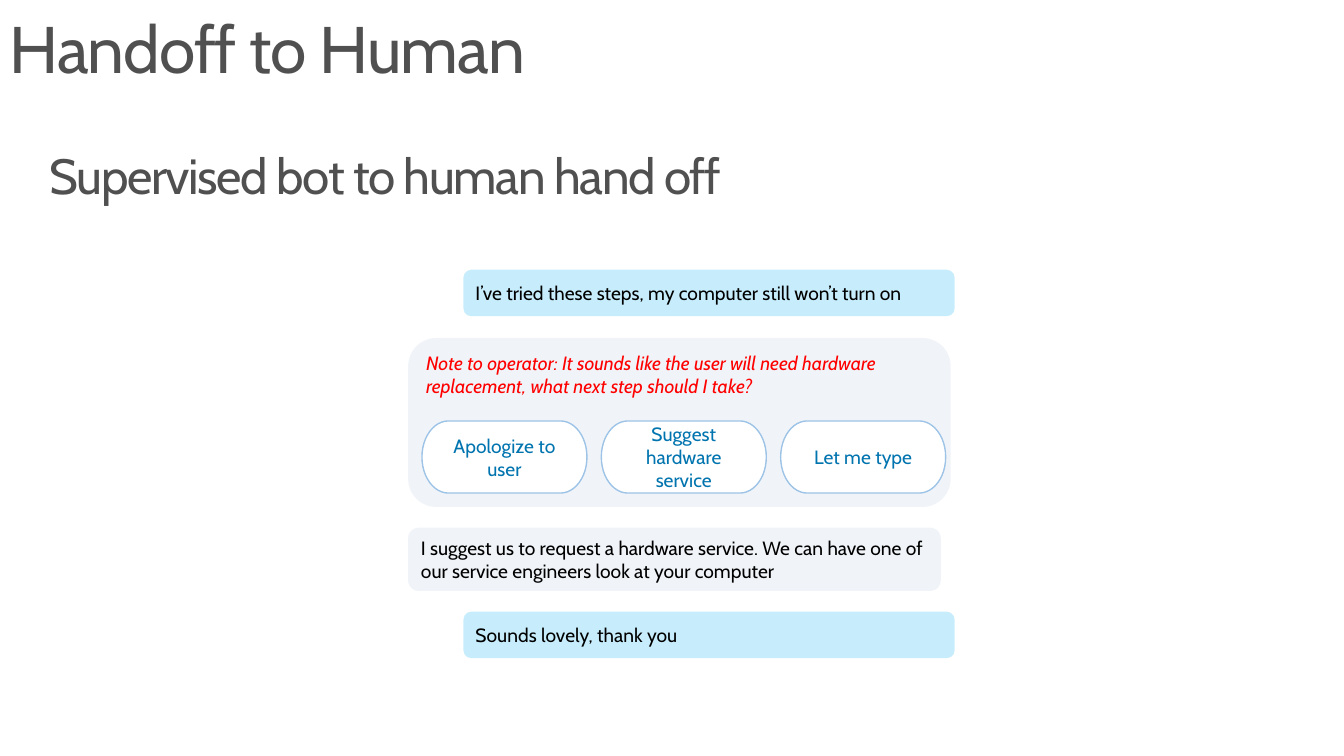
from dataclasses import dataclass

from pptx import Presentation
from pptx.dml.color import RGBColor
from pptx.enum.shapes import MSO_SHAPE
from pptx.enum.text import MSO_ANCHOR, PP_ALIGN
from pptx.util import Inches, Pt

ROUNDED = MSO_SHAPE.ROUNDED_RECTANGLE
TERMINATOR = MSO_SHAPE.FLOWCHART_TERMINATOR
TOP, MIDDLE = MSO_ANCHOR.TOP, MSO_ANCHOR.MIDDLE
LEFT, CENTER = PP_ALIGN.LEFT, PP_ALIGN.CENTER


@dataclass(frozen=True)
class Theme:
    font: str = "Cabin"
    heading: str = "505050"
    body: str = "000000"
    note: str = "FF0000"
    choice: str = "0074AF"
    choice_fill: str = "FFFFFF"
    choice_line: str = "9DC3E6"
    user_fill: str = "C7EDFC"
    bot_fill: str = "F0F4F8"
    title_size: int = 48
    subtitle_size: int = 36
    body_size: int = 14


def write_text(frame, text, *, font, size, color, italic=False, align=LEFT,
               anchor=TOP, line_spacing=None, tracking=None, margins=(0.1, 0.05)):
    """Fill a text frame with one formatted paragraph."""
    frame.word_wrap = True
    frame.vertical_anchor = anchor
    frame.margin_left = frame.margin_right = Inches(margins[0])
    frame.margin_top = frame.margin_bottom = Inches(margins[1])
    paragraph = frame.paragraphs[0]
    paragraph.alignment = align
    if line_spacing is not None:
        paragraph.line_spacing = line_spacing
    run = paragraph.add_run()
    run.text = text
    run.font.name = font
    run.font.size = Pt(size)
    run.font.italic = italic
    run.font.color.rgb = RGBColor.from_string(color)
    if tracking is not None:
        run._r.get_or_add_rPr().set("spc", str(round(tracking * 100)))


class ChatSlide:
    def __init__(self, slide, theme):
        self.slide = slide
        self.theme = theme

    def heading(self, text, box, size, tracking, margins):
        textbox = self.slide.shapes.add_textbox(*map(Inches, box))
        write_text(textbox.text_frame, text, font=self.theme.font, size=size,
                   color=self.theme.heading, line_spacing=0.9,
                   tracking=tracking, margins=margins)

    def panel(self, kind, text, box, fill, line=None, **text_format):
        shape = self.slide.shapes.add_shape(kind, *map(Inches, box))
        shape.shadow.inherit = False
        shape.fill.solid()
        shape.fill.fore_color.rgb = RGBColor.from_string(fill)
        if line:
            shape.line.color.rgb = RGBColor.from_string(line)
            shape.line.width = Pt(1)
        else:
            shape.line.fill.background()
        write_text(shape.text_frame, text, font=self.theme.font,
                   size=self.theme.body_size, **text_format)

    def user_message(self, text, top):
        self.panel(ROUNDED, text, (4.69, top, 4.97, 0.47), self.theme.user_fill,
                   color=self.theme.body, anchor=MIDDLE)

    def bot_message(self, text, box):
        self.panel(ROUNDED, text, box, self.theme.bot_fill,
                   color=self.theme.body, anchor=MIDDLE)

    def operator_note(self, text, box):
        self.panel(ROUNDED, text, box, self.theme.bot_fill,
                   color=self.theme.note, italic=True)

    def choices(self, labels, left, top, pitch):
        for index, label in enumerate(labels):
            self.panel(TERMINATOR, label, (left + index * pitch, top, 1.67, 0.73),
                       self.theme.choice_fill, self.theme.choice_line,
                       color=self.theme.choice, align=CENTER, anchor=MIDDLE)


def main():
    presentation = Presentation()
    presentation.slide_width = Inches(13.6)
    presentation.slide_height = Inches(7.65)
    theme = Theme()
    chat = ChatSlide(presentation.slides.add_slide(presentation.slide_layouts[6]), theme)

    # Headings
    chat.heading("Handoff to Human", (0, 0.07, 13, 1), theme.title_size,
                 tracking=-0.7, margins=(0.1, 0.1))
    chat.heading("Supervised bot to human hand off", (0.34, 1.44, 10.54, 2.83),
                 theme.subtitle_size, tracking=-1, margins=(0.16, 0.1))

    # Conversation
    chat.user_message("I’ve tried these steps, my computer still won’t turn on", 2.73)
    chat.user_message("Sounds lovely, thank you", 6.19)
    chat.bot_message("I suggest us to request a hardware service. We can have one of "
                     "our service engineers look at your computer",
                     (4.13, 5.34, 5.39, 0.64))

    # Operator note with its reply choices
    chat.operator_note("Note to operator: It sounds like the user will need hardware "
                       "replacement, what next step should I take?",
                       (4.13, 3.42, 5.49, 1.71))
    chat.choices(["Apologize to user", "Suggest hardware service", "Let me type"],
                 left=4.27, top=4.26, pitch=1.815)

    presentation.save("out.pptx")


if __name__ == "__main__":
    main()
